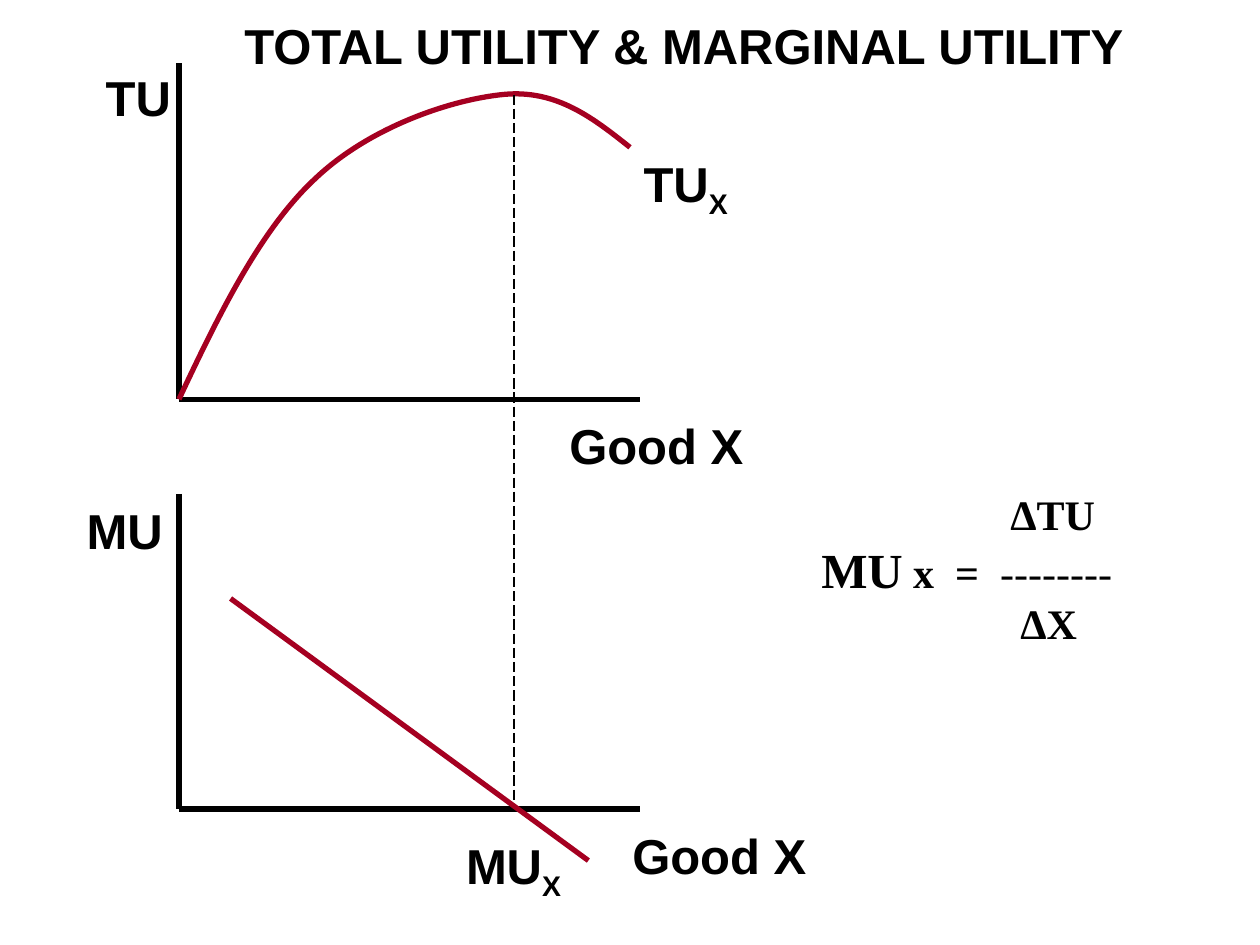
from lxml.etree import SubElement
from pptx import Presentation
from pptx.dml.color import RGBColor
from pptx.enum.dml import MSO_LINE
from pptx.enum.shapes import MSO_CONNECTOR
from pptx.enum.text import MSO_ANCHOR, MSO_AUTO_SIZE, PP_ALIGN
from pptx.oxml.ns import qn
from pptx.util import Inches, Pt

COLORS = {"ink": "000000", "curve": "A50021"}
TITLE = ("TOTAL UTILITY & MARGINAL UTILITY", (1.84, 0.07, 7.23, 0.57))
LABELS = [
    ("TU", "X", (5.01, 1.17, 0.87, 0.63)),
    ("MU", "X", (3.6, 6.58, 0.95, 0.63)),
    ("Good X", "", (4.42, 3.25, 1.58, 0.57)),
    ("Good X", "", (4.92, 6.5, 1.58, 0.57)),
    ("TU", "", (0.74, 0.49, 0.72, 0.57)),
    ("MU", "", (0.59, 3.92, 0.8, 0.57)),
]
FORMULA_BOX = (6.42, 3.83, 2.74, 1.37)
FORMULA = [
    (1.5, [("ΔTU", 24, True)]),
    (0, [("MU", 28, True), (" x  =  ", 24, True), ("--------", 24, False)]),
    (1.58, [("ΔX", 24, True)]),
]
AXIS_X, AXIS_END = 1.42, 5.08
AXES = [(0.5, 3.17), (3.92, 6.42)]
TU_CURVE = [
    (1.42, 3.17),
    (1.74, 2.49), (2.07, 1.82), (2.5, 1.42),
    (2.93, 1.01), (3.58, 0.79), (4, 0.75),
    (4.42, 0.71), (4.71, 0.94), (5, 1.17),
]
PEAK_LINE = (4.08, 0.75, 4.08, 6.42)
MU_LINE = (1.83, 4.75, 4.67, 6.83)


def color(name):
    return RGBColor.from_string(COLORS[name])


def add_line(s, ends, name="ink", width=3, dash=None):
    line = s.shapes.add_connector(MSO_CONNECTOR.STRAIGHT, *map(Inches, ends))
    line.line.color.rgb = color(name)
    line.line.width = Pt(width)
    if dash:
        line.line.dash_style = dash
    SubElement(line._element.spPr, qn("a:effectLst"))


def add_curve(s, points):
    start, *rest = [(Inches(x), Inches(y)) for x, y in points]
    builder = s.shapes.build_freeform(*start)
    builder.add_line_segments(rest, close=False)
    sp = builder.convert_to_shape()
    segments = list(sp._element.iter(qn("a:lnTo")))
    outline = segments[0].getparent()
    for i in range(0, len(segments), 3):
        bezier = SubElement(outline, qn("a:cubicBezTo"))
        for segment in segments[i:i + 3]:
            bezier.append(segment[0])
            outline.remove(segment)
    sp.fill.background()
    sp.line.color.rgb = color("curve")
    sp.line.width = Pt(3)
    sp.shadow.inherit = False


def add_run(p, text, size=28, bold=True, name="Arial"):
    r = p.add_run()
    r.text = text
    for key, value in {"size": Pt(size), "bold": bold, "name": name}.items():
        setattr(r.font, key, value)
    r.font.color.rgb = color("ink")
    return r


def format_frame(tf, wrap):
    values = {"word_wrap": wrap, "auto_size": MSO_AUTO_SIZE.NONE,
              "vertical_anchor": MSO_ANCHOR.TOP}
    for key, value in values.items():
        setattr(tf, key, value)


def main():
    prs = Presentation()
    prs.slide_width, prs.slide_height = Inches(10), Inches(7.5)
    s = prs.slides.add_slide(prs.slide_layouts[5])

    text, box = TITLE
    title = s.shapes.title
    for key, value in zip(("left", "top", "width", "height"), box):
        setattr(title, key, Inches(value))
    format_frame(title.text_frame, False)
    p = title.text_frame.paragraphs[0]
    p.alignment = PP_ALIGN.LEFT
    add_run(p, text)

    for top, base in AXES:
        add_line(s, (AXIS_X, top, AXIS_X, base))
        add_line(s, (AXIS_X, base, AXIS_END, base))
    add_curve(s, TU_CURVE)
    add_line(s, PEAK_LINE, width=0.75, dash=MSO_LINE.LONG_DASH)
    add_line(s, MU_LINE, "curve")

    for text, subscript, box in LABELS:
        tf = s.shapes.add_textbox(*map(Inches, box)).text_frame
        format_frame(tf, False)
        p = tf.paragraphs[0]
        add_run(p, text)
        if subscript:
            r = add_run(p, subscript)
            r.font._element.set("baseline", "-25000")

    tf = s.shapes.add_textbox(*map(Inches, FORMULA_BOX)).text_frame
    format_frame(tf, True)
    for i, (indent, runs) in enumerate(FORMULA):
        p = tf.add_paragraph() if i else tf.paragraphs[0]
        p._p.get_or_add_pPr().set("marL", str(Inches(indent)))
        for text, size, bold in runs:
            add_run(p, text, size, bold, "Times New Roman")

    prs.save("out.pptx")


if __name__ == "__main__":
    main()
